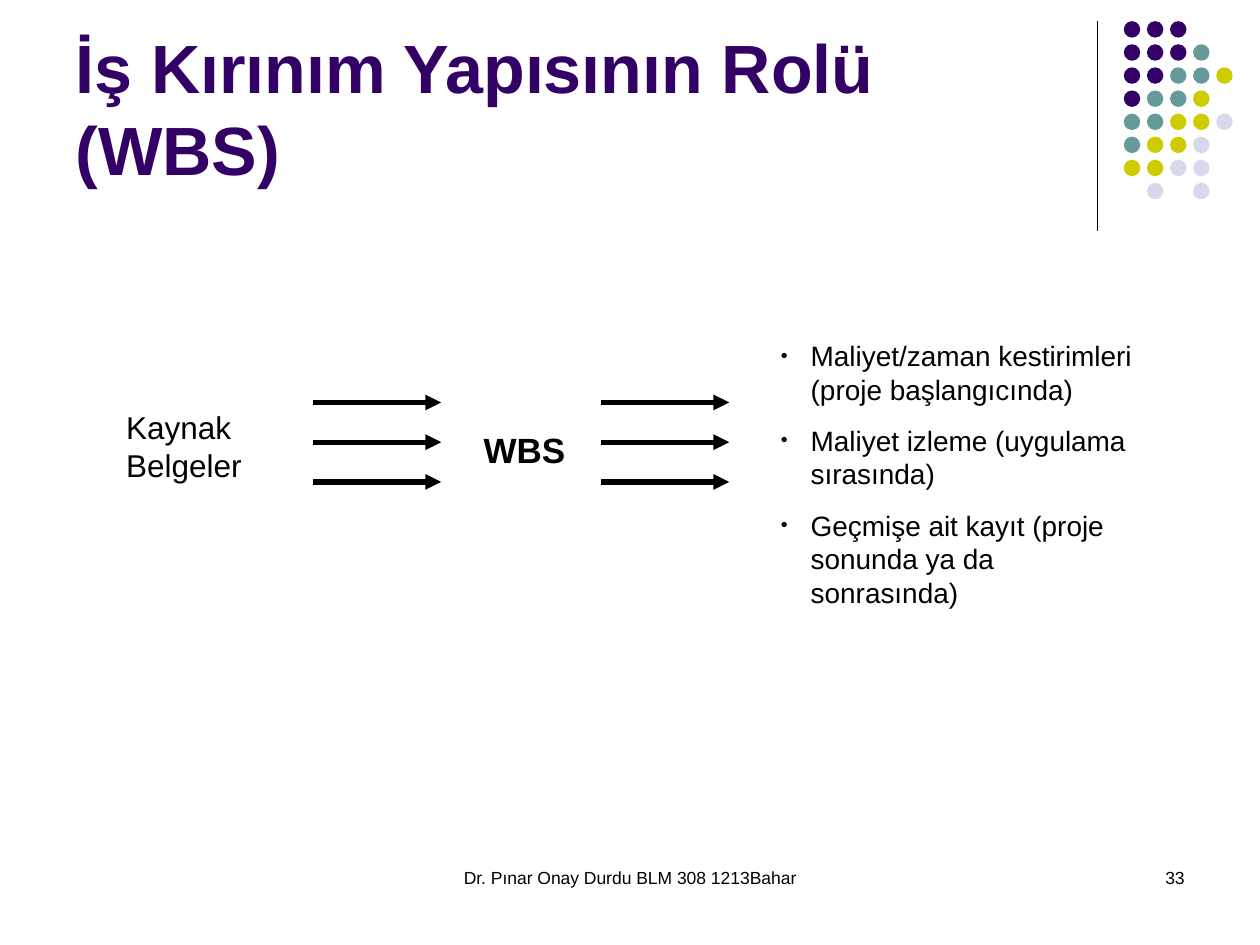
from pptx import Presentation
from pptx.dml.color import RGBColor
from pptx.enum.shapes import MSO_CONNECTOR as Connector, MSO_SHAPE as Shape
from pptx.enum.text import MSO_ANCHOR as Anchor, PP_ALIGN as Align
from pptx.oxml.ns import qn
from pptx.util import Pt
from lxml.etree import SubElement

COLORS = {
    "text": "000000",
    "purple": "330066",
    "teal": "669999",
    "lime": "CCCC00",
    "lavender": "D8D8EC",
}
DOT_COLORS = {"P": "purple", "T": "teal", "L": "lime", "V": "lavender"}
DOT_ROWS = ["PPP", "PPPT", "PPTTL", "PTTL", "TTLLV", "TLLV", "LLVV", " V V"]
WBS_USES = [
    "Maliyet/zaman kestirimleri (proje başlangıcında)",
    "Maliyet izleme (uygulama sırasında)",
    "Geçmişe ait kayıt (proje sonunda ya da sonrasında)",
]


class SlideBuilder:
    font = "Arial"

    def __init__(self, slide):
        self.slide = slide

    def color(self, name):
        return RGBColor.from_string(COLORS[name])

    def text(self, left, top, width, height, lines, size, bold=False,
             color="text", align=Align.LEFT, anchor=Anchor.TOP, bullet=False):
        shape = self.slide.shapes.add_textbox(Pt(left), Pt(top), Pt(width), Pt(height))
        frame = shape.text_frame
        frame.word_wrap = True
        frame.vertical_anchor = anchor
        frame.text = "\n".join(lines)
        for index, paragraph in enumerate(frame.paragraphs):
            paragraph.alignment = align
            if index:
                paragraph.space_before = Pt(10)
            if bullet:
                self.bullet(paragraph)
            for run in paragraph.runs:
                run.font.name = self.font
                run.font.size = Pt(size)
                run.font.bold = bold
                run.font.color.rgb = self.color(color)

    def bullet(self, paragraph):
        properties = paragraph._p.get_or_add_pPr()
        properties.set("marL", str(Pt(17)))
        properties.set("indent", str(-Pt(17)))
        bullet_color = SubElement(properties, qn("a:buClr"))
        SubElement(bullet_color, qn("a:srgbClr"), val=COLORS["text"])
        SubElement(properties, qn("a:buSzPct"), val="70000")
        SubElement(properties, qn("a:buFont"), typeface=self.font)
        SubElement(properties, qn("a:buChar"), char="•")

    def line(self, start_x, start_y, end_x, end_y, width, arrow=False):
        connector = self.slide.shapes.add_connector(
            Connector.STRAIGHT, Pt(start_x), Pt(start_y), Pt(end_x), Pt(end_y))
        connector.line.color.rgb = self.color("text")
        connector.line.width = Pt(width)
        if arrow:
            SubElement(connector.line._get_or_add_ln(), qn("a:tailEnd"), type="triangle")
        SubElement(connector._element.spPr, qn("a:effectLst"))

    def dots(self, left, top, pitch, size, rows):
        group = self.slide.shapes.add_group_shape()
        for row, codes in enumerate(rows):
            for column, code in enumerate(codes):
                if code in DOT_COLORS:
                    dot = group.shapes.add_shape(
                        Shape.OVAL, Pt(left + column * pitch), Pt(top + row * pitch),
                        Pt(size), Pt(size))
                    dot.shadow.inherit = False
                    dot.fill.solid()
                    dot.fill.fore_color.rgb = self.color(DOT_COLORS[code])
                    dot.line.fill.background()


def main():
    presentation = Presentation()
    presentation.slide_width = Pt(720)
    presentation.slide_height = Pt(540)
    builder = SlideBuilder(presentation.slides.add_slide(presentation.slide_layouts[6]))

    builder.line(627, 12, 627, 132, 0.75)
    builder.dots(642.2, 12.1, 13.2, 9.4, DOT_ROWS)
    builder.text(36, 9.5, 594, 102, ["İş Kırınım Yapısının Rolü (WBS)"], 39,
                 bold=True, color="purple", anchor=Anchor.BOTTOM)

    builder.text(65, 229.7, 91, 50.4, ["Kaynak Belgeler"], 18)
    builder.text(269.3, 241.2, 102, 31.7, ["WBS"], 20, bold=True)
    for left in (178.6, 343.2):
        for row in range(3):
            top = 230 + row * 22.7
            builder.line(left, top, left + 73.5, top, 3, arrow=True)
    builder.text(439.2, 190, 221, 142.6, WBS_USES, 16, bullet=True)

    builder.text(246, 492, 228, 36, ["Dr. Pınar Onay Durdu BLM 308 1213Bahar"], 10,
                 align=Align.CENTER)
    builder.text(516, 492, 168, 36, ["33"], 10, align=Align.RIGHT)
    presentation.save("out.pptx")


if __name__ == "__main__":
    main()
